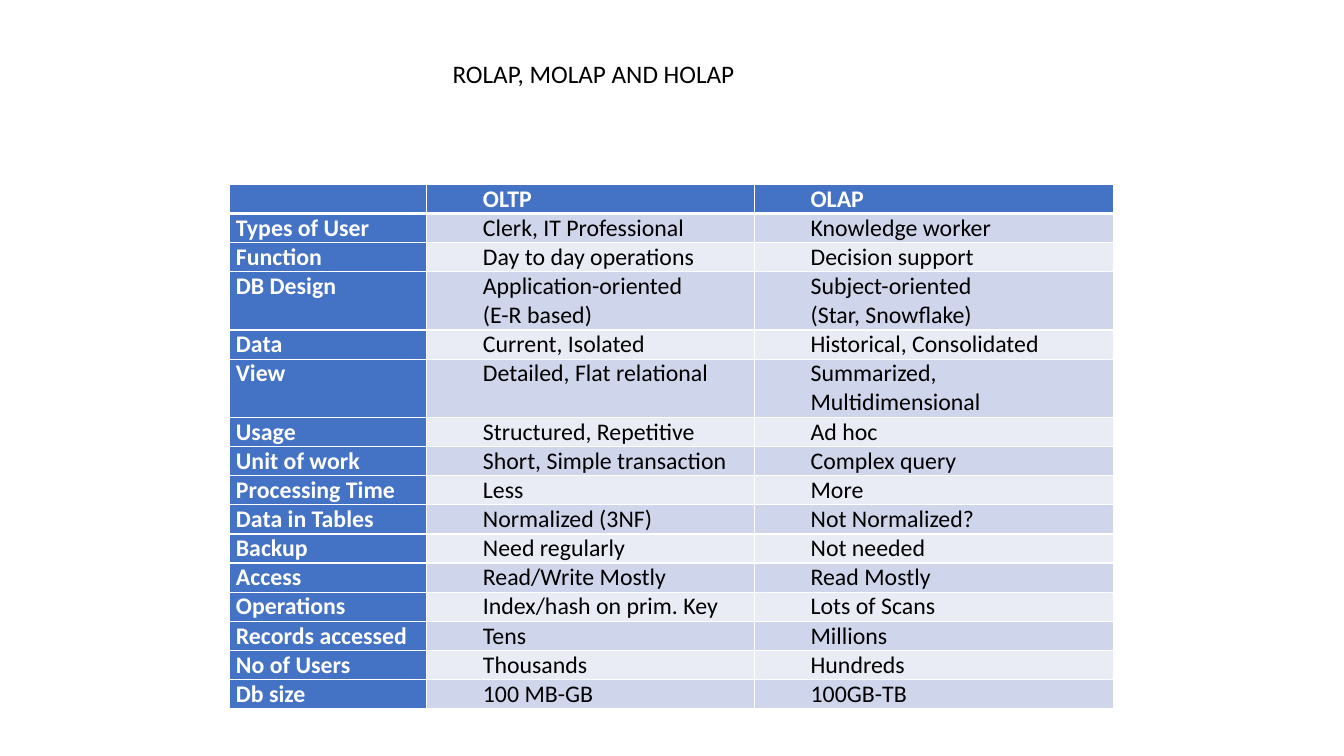
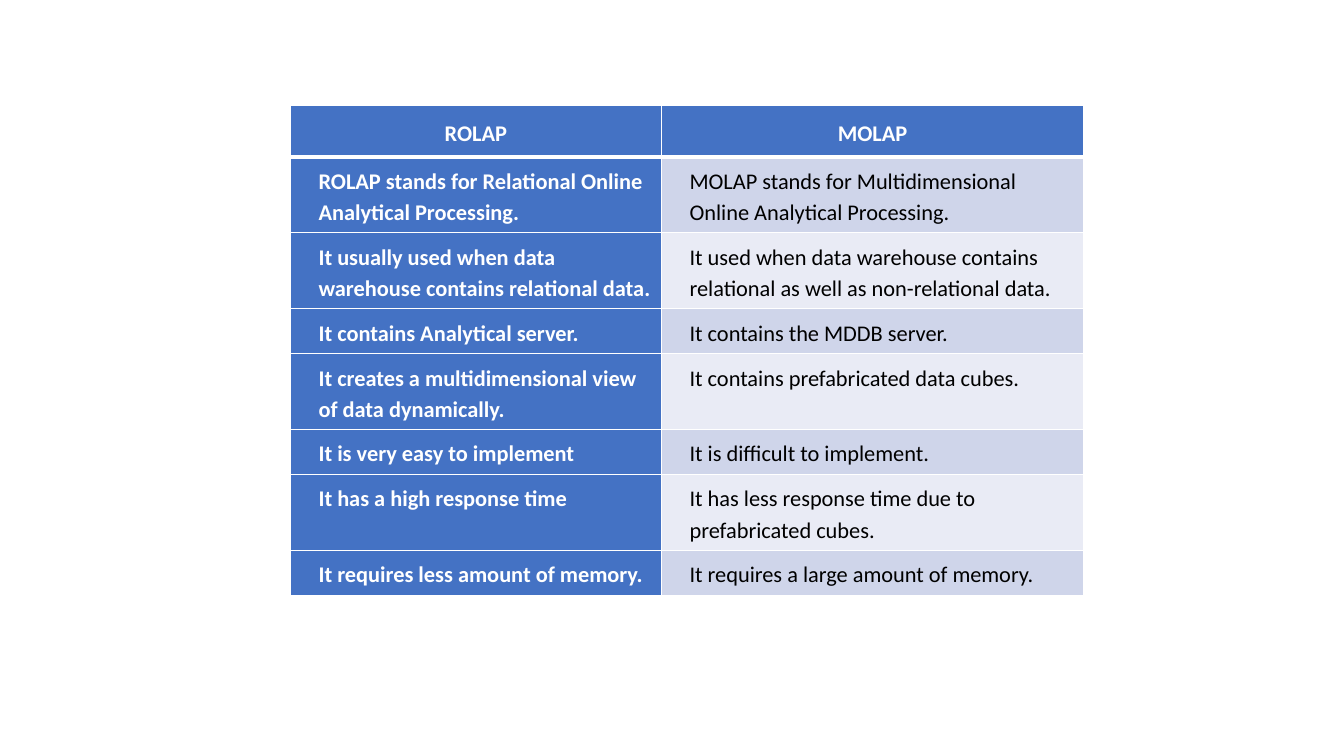
from dataclasses import dataclass

import pptx
import pptx.dml.color
import pptx.enum.text
import pptx.oxml
import pptx.oxml.ns
import pptx.slide
import pptx.table
import pptx.text.text
import pptx.util
from lxml import etree

Inches = pptx.util.Inches
Pt = pptx.util.Pt
Align = pptx.enum.text.PP_ALIGN


@dataclass(frozen=True)
class Theme:
    font: str = "Calibri"
    accent: str = "4472C4"
    bands: tuple[str, str] = ("CFD5EA", "E9EBF5")
    light: str = "FFFFFF"
    dark: str = "000000"
    title_size: float = 18
    thin_line: float = 1
    header_line: float = 3


THEME = Theme()


@dataclass(frozen=True)
class Comparison:
    """A table with a header row and a bold first column; lengths are in inches."""
    left: float
    top: float
    columns: tuple[float, ...]
    row_heights: tuple[float, ...]
    rows: tuple[tuple[str, ...], ...]
    size: float
    side_inset: float
    end_inset: float
    header_inset: tuple[float, float]
    header_align: Align
    indents: tuple[float, ...]
    header_indents: tuple[float, ...]
    line_spacing: float


SYSTEMS = Comparison(
    left=2.28, top=1.83,
    columns=(1.95, 3.25, 3.57),
    row_heights=(0.28,) * 3 + (0.56,) + (0.28,) * 12,
    rows=(
        ("", "OLTP", "OLAP"),
        ("Types of User", "Clerk, IT Professional", "Knowledge worker"),
        ("Function", "Day to day operations", "Decision support"),
        ("DB Design", "Application-oriented\n(E-R based)",
         "Subject-oriented\n(Star, Snowflake)"),
        ("Data", "Current, Isolated", "Historical, Consolidated"),
        ("View", "Detailed, Flat relational", "Summarized, Multidimensional"),
        ("Usage", "Structured, Repetitive", "Ad hoc"),
        ("Unit of work", "Short, Simple transaction", "Complex query"),
        ("Processing Time", "Less", "More"),
        ("Data in Tables", "Normalized (3NF)", "Not Normalized?"),
        ("Backup", "Need regularly", "Not needed"),
        ("Access", "Read/Write Mostly", "Read Mostly"),
        ("Operations", "Index/hash on prim. Key", "Lots of Scans"),
        ("Records accessed", "Tens", "Millions"),
        ("No of Users", "Thousands", "Hundreds"),
        ("Db size", "100 MB-GB", "100GB-TB"),
    ),
    size=17, side_inset=0.06, end_inset=0, header_inset=(0.06, 0),
    header_align=Align.LEFT, indents=(0, 0.5, 0.5), header_indents=(0, 0.5, 0.5),
    line_spacing=1,
)

SERVERS = Comparison(
    left=2.88, top=1.05,
    columns=(3.68, 4.19),
    row_heights=(0.5, 0.74, 0.74, 0.43, 0.74, 0.43, 0.74, 0.43),
    rows=(
        ("ROLAP", "MOLAP"),
        ("ROLAP stands for Relational Online Analytical Processing.",
         "MOLAP stands for Multidimensional Online Analytical Processing."),
        ("It usually used when data warehouse contains relational data.",
         "It used when data warehouse contains relational as well as "
         "non-relational data."),
        ("It contains Analytical server.", "It contains the MDDB server."),
        ("It creates a multidimensional view of data dynamically.",
         "It contains prefabricated data cubes."),
        ("It is very easy to implement", "It is difficult to implement."),
        ("It has a high response time",
         "It has less response time due to prefabricated cubes."),
        ("It requires less amount of memory.",
         "It requires a large amount of memory."),
    ),
    size=16, side_inset=0.07, end_inset=0.07, header_inset=(0.1, 0.1),
    header_align=Align.CENTER, indents=(0.21, 0.21), header_indents=(0, 0),
    line_spacing=1.15,
)


def apply(target: object, values: dict[str, object]) -> None:
    """Set each named attribute of the target."""
    for name, value in values.items():
        setattr(target, name, value)


def set_font(font: pptx.text.text.Font, size: float, color: str, bold: bool) -> None:
    apply(font, {"name": THEME.font, "size": Pt(size), "bold": bold})
    font.color.rgb = pptx.dml.color.RGBColor.from_string(color)


def set_borders(cell: pptx.table._Cell, top: float, bottom: float) -> None:
    """Draw light cell borders; must run before the cell is filled."""
    properties = cell._tc.get_or_add_tcPr()
    widths = {"L": THEME.thin_line, "R": THEME.thin_line, "T": top, "B": bottom}
    for side, width in widths.items():
        properties.append(pptx.oxml.parse_xml(
            f'<a:ln{side} {pptx.oxml.ns.nsdecls("a")} w="{Pt(width)}">'
            f'<a:solidFill><a:srgbClr val="{THEME.light}"/></a:solidFill>'
            f'</a:ln{side}>'))


def write_cell(cell: pptx.table._Cell, text: str, size: float, color: str,
               bold: bool, indent: float, layout: dict[str, object]) -> None:
    cell.text = text
    for para in cell.text_frame.paragraphs:
        apply(para, layout)
        para._p.get_or_add_pPr().set("marL", str(Inches(indent)))
        for span in para.runs:
            set_font(span.font, size, color, bold)
        if not para.runs:
            end = etree.SubElement(para._p, pptx.oxml.ns.qn("a:endParaRPr"))
            end.set("sz", str(int(size * 100)))


def draw_comparison(page: pptx.slide.Slide, data: Comparison) -> None:
    frame = page.shapes.add_table(
        len(data.rows), len(data.columns), Inches(data.left), Inches(data.top),
        Inches(sum(data.columns)), Inches(sum(data.row_heights)))
    table = frame.table
    table.first_col = True
    for column, width in zip(table.columns, data.columns):
        column.width = Inches(width)
    for row, height in zip(table.rows, data.row_heights):
        row.height = Inches(height)

    for row_index, texts in enumerate(data.rows):
        header = row_index == 0
        side, end = data.header_inset if header else (data.side_inset, data.end_inset)
        indents = data.header_indents if header else data.indents
        layout = {"alignment": data.header_align if header else Align.LEFT,
                  "line_spacing": data.line_spacing}
        for column_index, text in enumerate(texts):
            strong = header or column_index == 0
            cell = table.cell(row_index, column_index)
            apply(cell, {"margin_left": Inches(side), "margin_right": Inches(side),
                         "margin_top": Inches(end), "margin_bottom": Inches(end)})
            set_borders(
                cell,
                top=THEME.header_line if row_index == 1 else THEME.thin_line,
                bottom=THEME.header_line if header else THEME.thin_line)
            cell.fill.solid()
            cell.fill.fore_color.rgb = pptx.dml.color.RGBColor.from_string(
                THEME.accent if strong else THEME.bands[(row_index - 1) % 2])
            write_cell(cell, text, data.size, THEME.light if strong else THEME.dark,
                       strong, indents[column_index], layout)


def draw_title(page: pptx.slide.Slide, text: str) -> None:
    box = page.shapes.add_textbox(Inches(4.39), Inches(0.57), Inches(8.94), Inches(0.31))
    apply(box.text_frame, {"word_wrap": True, "margin_top": 0, "margin_bottom": 0,
                           "vertical_anchor": pptx.enum.text.MSO_ANCHOR.MIDDLE})
    span = box.text_frame.paragraphs[0].add_run()
    span.text = text
    set_font(span.font, THEME.title_size, THEME.dark, False)


def main() -> None:
    deck = pptx.Presentation()
    apply(deck, {"slide_width": Inches(13.33), "slide_height": Inches(7.5)})
    blank = deck.slide_layouts[6]

    systems_page = deck.slides.add_slide(blank)
    draw_comparison(systems_page, SYSTEMS)
    draw_title(systems_page, "ROLAP, MOLAP AND HOLAP")

    draw_comparison(deck.slides.add_slide(blank), SERVERS)
    deck.save("out.pptx")


if __name__ == "__main__":
    main()
